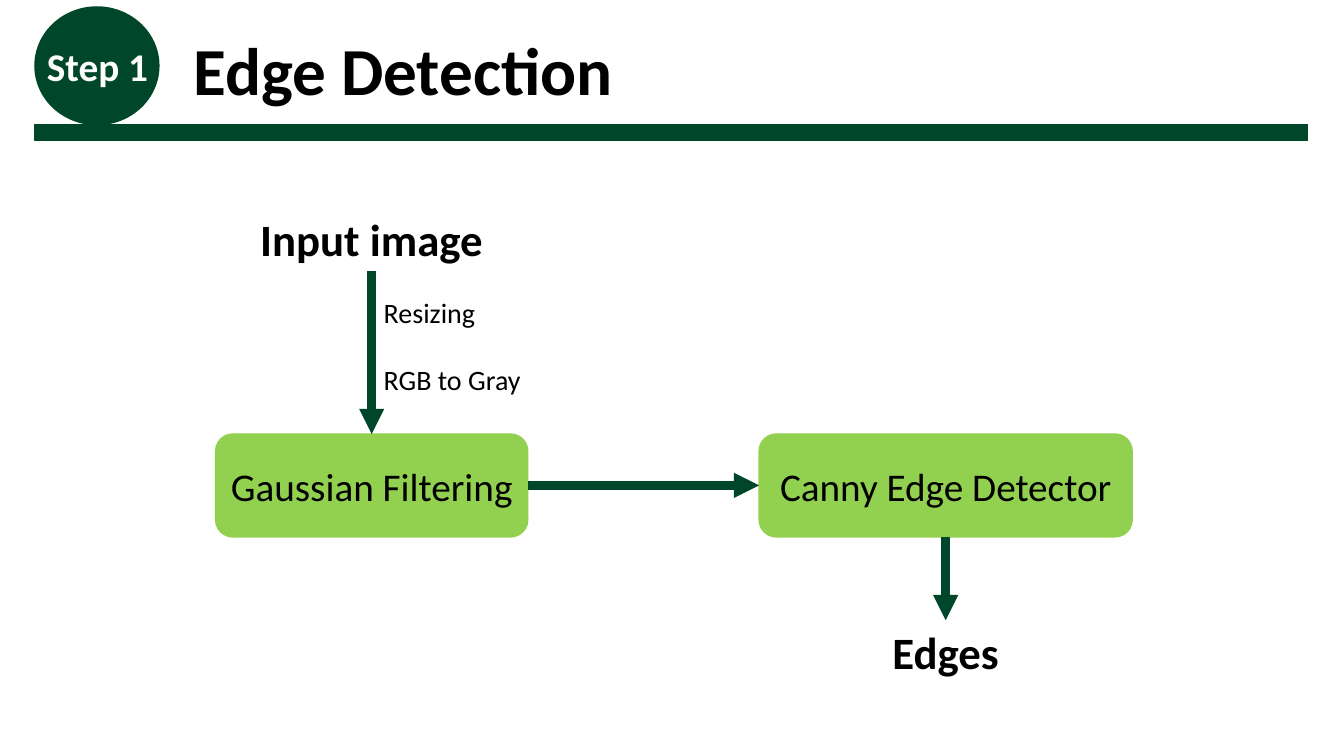
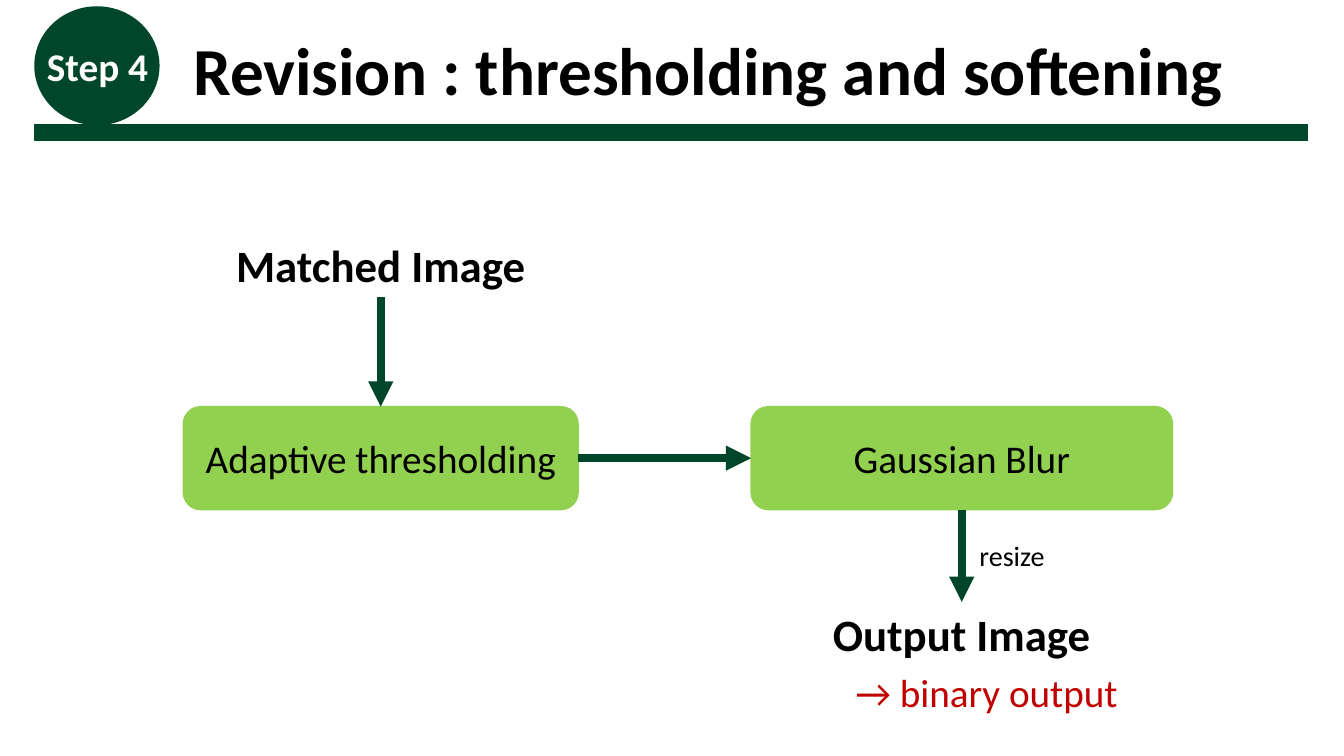
"""Build two slides that show steps of an image processing pipeline."""
from lxml.etree import SubElement
from pptx import Presentation
from pptx.dml.color import RGBColor
from pptx.enum.shapes import MSO_CONNECTOR, MSO_SHAPE
from pptx.enum.text import MSO_ANCHOR, MSO_AUTO_SIZE, PP_ALIGN
from pptx.oxml.ns import qn
from pptx.util import Pt

FONT = "Calibri"
DARK_GREEN = "00462A"
LIGHT_GREEN = "92D050"
BLACK = "000000"
WHITE = "FFFFFF"
RED = "C00000"
BOX_HEIGHT = 73.5
LABEL_HEIGHT = 46
TOP, LEFT, BOTTOM, RIGHT = range(4)


def color(code):
    """Turn a hex string into a colour."""
    return RGBColor.from_string(code)


def style(paragraph, size, ink, bold, align):
    """Set the font and alignment of a paragraph."""
    paragraph.alignment = align
    font = paragraph.font
    font.name = FONT
    font.size = Pt(size)
    font.bold = bold
    font.color.rgb = color(ink)


def add_text(page, area, lines, size, ink=BLACK, bold=False, align=PP_ALIGN.LEFT, gap=0):
    """Add a text box with one paragraph a line and a gap between them."""
    box = page.shapes.add_textbox(*map(Pt, area))
    frame = box.text_frame
    frame.word_wrap = False
    frame.auto_size = MSO_AUTO_SIZE.SHAPE_TO_FIT_TEXT
    frame.text = "\n".join(lines)
    for index, paragraph in enumerate(frame.paragraphs):
        if index and gap:
            paragraph.space_before = Pt(gap)
        style(paragraph, size, ink, bold, align)
    return box


def add_solid(page, kind, area, fill):
    """Add a shape whose fill and outline share one colour."""
    shape = page.shapes.add_shape(kind, *map(Pt, area))
    shape.shadow.inherit = False
    shape.fill.solid()
    shape.fill.fore_color.rgb = color(fill)
    shape.line.color.rgb = color(fill)
    shape.line.width = Pt(1)
    return shape


def add_header(page, step, title, title_width):
    """Add the band, the step badge and the title."""
    add_solid(page, MSO_SHAPE.RECTANGLE, (25, 89, 909, 11.5), DARK_GREEN)
    add_solid(page, MSO_SHAPE.OVAL, (25, 5, 88.5, 84), DARK_GREEN)
    add_text(page, (26.5, 26.5, 88, 41), [step], 28, WHITE, bold=True)
    add_text(page, (131, 16.5, title_width, 65.5), [title], 48, bold=True)


def add_process(page, text, center, top, width):
    """Add a rounded process box around a centre line."""
    area = (center - width / 2, top, width, BOX_HEIGHT)
    box = add_solid(page, MSO_SHAPE.ROUNDED_RECTANGLE, area, LIGHT_GREEN)
    box.text_frame.word_wrap = True
    box.text_frame.vertical_anchor = MSO_ANCHOR.MIDDLE
    box.text_frame.text = text
    style(box.text_frame.paragraphs[0], 28, BLACK, False, PP_ALIGN.CENTER)
    return box


def add_label(page, text, center, top, width):
    """Add a bold input or output label around a centre line."""
    area = (center - width / 2, top, width, LABEL_HEIGHT)
    return add_text(page, area, [text], 32, bold=True, align=PP_ALIGN.CENTER)


def add_arrow(page, source, source_side, target, target_side):
    """Join two shapes with a thick arrow."""
    arrow = page.shapes.add_connector(MSO_CONNECTOR.STRAIGHT, 0, 0, 0, 0)
    arrow.begin_connect(source, source_side)
    arrow.end_connect(target, target_side)
    arrow.line.color.rgb = color(DARK_GREEN)
    arrow.line.width = Pt(6)
    SubElement(arrow.line._get_or_add_ln(), qn("a:tailEnd"), type="triangle")
    SubElement(arrow._element.spPr, qn("a:effectLst"))


def add_flow(page, centers, row_top, source, first, second, result):
    """Add a flow from an input through two processes to an output."""
    left, right = centers
    start = add_label(page, source[0], left, *source[1:])
    one = add_process(page, first[0], left, row_top, first[1])
    two = add_process(page, second[0], right, row_top, second[1])
    end = add_label(page, result[0], right, *result[1:])
    add_arrow(page, start, BOTTOM, one, TOP)
    add_arrow(page, one, RIGHT, two, LEFT)
    add_arrow(page, two, BOTTOM, end, TOP)


def add_edge_detection(page):
    """Fill the edge detection slide."""
    add_header(page, "Step 1", "Edge Detection", 317.5)
    add_flow(page, (265.5, 675.5), 310,
             ("Input image", 147.5, 175), ("Gaussian Filtering", 223),
             ("Canny Edge Detector", 266.5), ("Edges", 443, 91.5))
    add_text(page, (267, 207.5, 113, 80), ["Resizing", "RGB to Gray"], 20, gap=24)


def add_revision(page):
    """Fill the thresholding and softening slide."""
    add_header(page, "Step 4", "Revision : thresholding and softening", 759)
    add_flow(page, (272, 687), 290.5,
             ("Matched Image", 166.5, 223), ("Adaptive thresholding", 282),
             ("Gaussian Blur", 301), ("Output Image", 430, 200))
    add_text(page, (692.5, 381, 62, 31.5), ["resize"], 20)
    add_text(page, (604, 474, 204, 41), ["→ binary output"], 28, RED)


def main():
    """Build and save the deck."""
    deck = Presentation()
    deck.slide_width, deck.slide_height = Pt(960), Pt(540)
    for fill_page in (add_edge_detection, add_revision):
        fill_page(deck.slides.add_slide(deck.slide_layouts[6]))
    deck.save("out.pptx")


if __name__ == "__main__":
    main()
